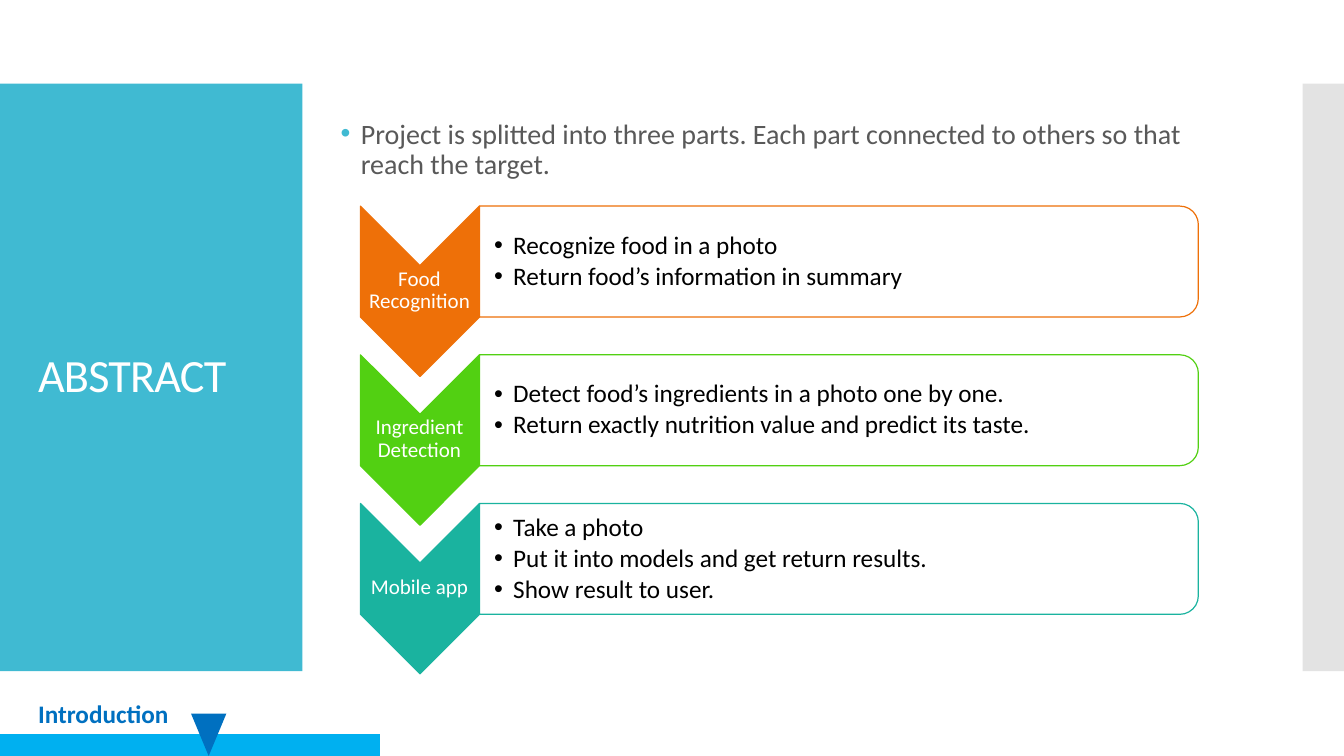
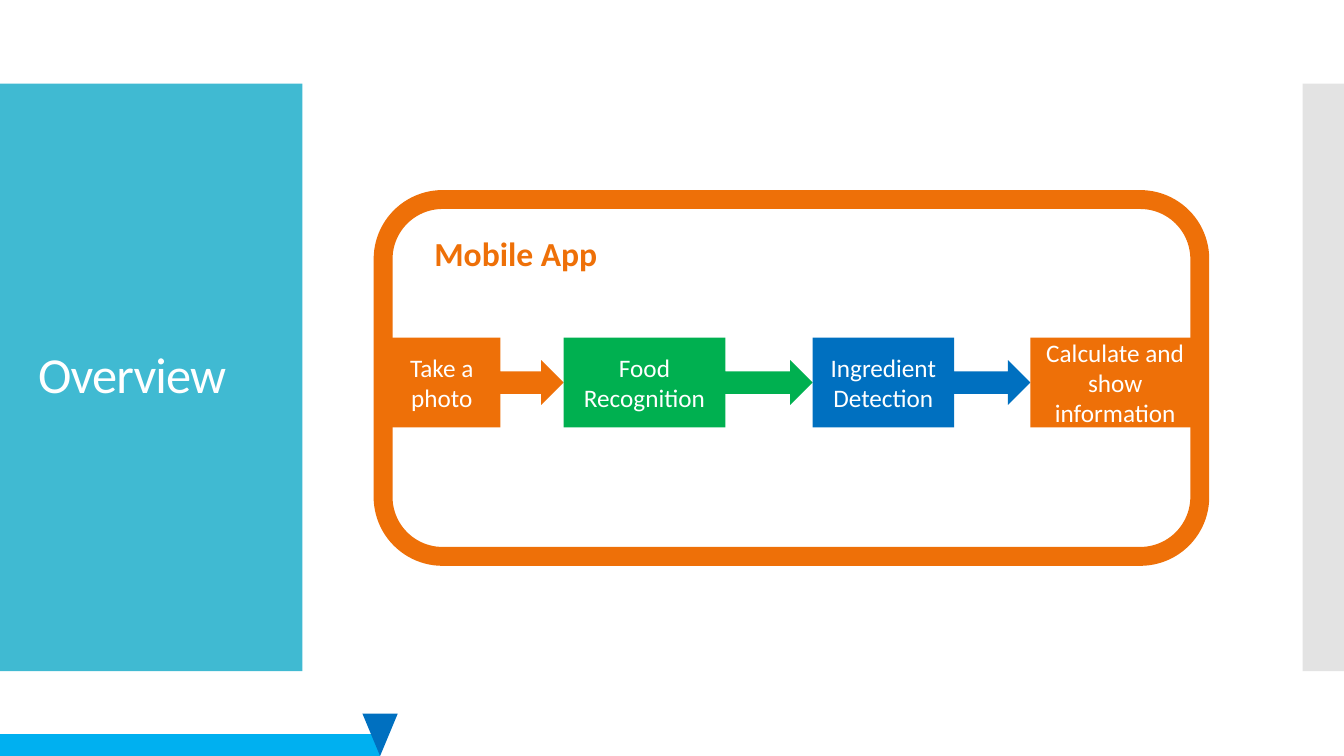
"""Build two slides on a food recognition project: abstract and overview."""
import pptx
import pptx.dml.color
import pptx.enum.shapes
import pptx.enum.text
import pptx.oxml
import pptx.oxml.ns
import pptx.util

Inches = pptx.util.Inches
Pt = pptx.util.Pt
RGBColor = pptx.dml.color.RGBColor
SHAPE = pptx.enum.shapes.MSO_SHAPE
ALIGN = pptx.enum.text.PP_ALIGN
MIDDLE = pptx.enum.text.MSO_ANCHOR.MIDDLE
TOP = pptx.enum.text.MSO_ANCHOR.TOP

FONT = "Calibri"
WHITE = RGBColor(0xFF, 0xFF, 0xFF)
BLACK = RGBColor(0x00, 0x00, 0x00)
GRAY_TEXT = RGBColor(0x59, 0x59, 0x59)
SIDE_GRAY = RGBColor(0xE3, 0xE3, 0xE3)
TEAL_BAND = RGBColor(0x40, 0xBA, 0xD2)
SKY = RGBColor(0x00, 0xB0, 0xF0)
BLUE = RGBColor(0x00, 0x70, 0xC0)
ORANGE = RGBColor(0xEE, 0x70, 0x08)
LIME = RGBColor(0x52, 0xD0, 0x12)
SEA = RGBColor(0x1A, 0xB3, 0x9F)
GREEN = RGBColor(0x00, 0xB0, 0x50)


def add_block(page, kind, left, top, width, height, fill=None, line=None, weight=0.85):
    """Add a preset shape; no fill or line unless a colour is given."""
    block = page.shapes.add_shape(kind, Inches(left), Inches(top), Inches(width), Inches(height))
    block.shadow.inherit = False
    for paint, color in ((block.fill, fill), (block.line.fill, line)):
        if color is None:
            paint.background()
        else:
            paint.solid()
            paint.fore_color.rgb = color
    if line is not None:
        block.line.width = Pt(weight)
    return block


def write(box, lines, size, color, align=ALIGN.LEFT, anchor=MIDDLE, wrap=True, bold=False,
          spacing=None, after=0, insets=None, bullet=None, indent=0.19, tracking=None):
    """Write one paragraph per line, with a bullet if its colour is given."""
    frame = box.text_frame
    frame.word_wrap = wrap
    frame.vertical_anchor = anchor
    if insets:
        frame.margin_left, frame.margin_top, frame.margin_right, frame.margin_bottom = map(Inches, insets)
    for index, line in enumerate(lines):
        para = frame.paragraphs[0] if index == 0 else frame.add_paragraph()
        para.alignment = align
        para.line_spacing = spacing
        para.space_after = Pt(after)
        if bullet is not None:
            properties = para._p.get_or_add_pPr()
            properties.set("marL", str(Inches(indent)))
            properties.set("indent", str(-Inches(indent)))
            namespace = pptx.oxml.ns.nsdecls("a")
            for markup in (f'<a:buClr {namespace}><a:srgbClr val="{bullet}"/></a:buClr>',
                           f'<a:buFont {namespace} typeface="Arial"/>',
                           f'<a:buChar {namespace} char="•"/>'):
                properties.append(pptx.oxml.parse_xml(markup))
        span = para.add_run()
        span.text = line
        span.font.name = FONT
        span.font.size = Pt(size)
        span.font.bold = bold
        span.font.color.rgb = color
        if tracking is not None:
            span._r.get_or_add_rPr().set("spc", str(tracking))


deck = pptx.Presentation()
deck.slide_width = Inches(13.33)
deck.slide_height = Inches(7.5)

BAR_SPLIT = 2.07
BAR_END = 3.77
MARKER_WIDTH = 0.35

pages = []
for title, title_size, progress in (("ABSTRACT", 33, BAR_SPLIT), ("Overview", 36, BAR_END)):
    page = deck.slides.add_slide(deck.slide_layouts[6])
    pages.append(page)
    add_block(page, SHAPE.RECTANGLE, 0, 0.83, 3, 5.83, TEAL_BAND)
    add_block(page, SHAPE.RECTANGLE, 12.92, 0.83, 0.41, 5.83, SIDE_GRAY)
    box = page.shapes.add_textbox(Inches(0.28), Inches(1.23), Inches(2.47), Inches(5.03))
    write(box, [title], title_size, WHITE, spacing=0.9, tracking=-60)
    for start, end in ((BAR_SPLIT, BAR_END), (0, BAR_SPLIT)):
        add_block(page, SHAPE.FLOWCHART_PROCESS, start, 7.28, end - start, 0.22, SKY)
    add_block(page, SHAPE.FLOWCHART_MERGE, progress - MARKER_WIDTH / 2, 7.08, MARKER_WIDTH, 0.42, BLUE)

abstract, overview = pages

box = abstract.shapes.add_textbox(Inches(3.28), Inches(0.94), Inches(8.95), Inches(1.1))
write(box, ["Project is splitted into three parts. Each part connected to others so that reach the target."],
      20, GRAY_TEXT, spacing=0.9, bullet=TEAL_BAND, indent=0.2)
box = abstract.shapes.add_textbox(Inches(0.28), Inches(6.88), Inches(1.56), Inches(0.4))
write(box, ["Introduction"], 18, BLUE, anchor=TOP, wrap=False, bold=True)

parts = (
    ("Food Recognition", ORANGE,
     ["Recognize food in a photo", "Return food’s information in summary"]),
    ("Ingredient Detection", LIME,
     ["Detect food’s ingredients in a photo one by one.",
      "Return exactly nutrition value and predict its taste."]),
    ("Mobile app", SEA,
     ["Take a photo", "Put it into models and get return results.", "Show result to user."]),
)
for index, (label, color, details) in enumerate(parts):
    shift = index * 1.475
    chevron = add_block(abstract, SHAPE.CHEVRON, 3.32, 2.3 + shift, 1.69, 1.18, color, color)
    panel = add_block(abstract, SHAPE.ROUND_2_SAME_RECTANGLE, 7.77, -0.97 + shift, 1.1, 7.13, WHITE, color)
    chevron.rotation = panel.rotation = 90
    box = abstract.shapes.add_textbox(Inches(3.57), Inches(2.63 + shift), Inches(1.18), Inches(0.51))
    write(box, [label], 15, WHITE, align=ALIGN.CENTER, spacing=0.9, insets=(0.01,) * 4)
    box = abstract.shapes.add_textbox(Inches(4.76), Inches(2.1 + shift), Inches(7.08), Inches(0.99))
    write(box, details, 18, BLACK, spacing=0.9, after=2.7, insets=(0.14, 0.01, 0.01, 0.01), bullet=BLACK)

steps = (
    ("Take a photo", SHAPE.RIGHT_ARROW_CALLOUT, 1.79, ORANGE),
    ("Food Recognition", SHAPE.RIGHT_ARROW_CALLOUT, 2.47, GREEN),
    ("Ingredient Detection", SHAPE.RIGHT_ARROW_CALLOUT, 2.16, BLUE),
    ("Calculate and show information", SHAPE.RECTANGLE, 1.68, ORANGE),
)
left = 3.8
for label, kind, width, color in steps:
    step = add_block(overview, kind, left, 3.35, width, 0.89, color)
    write(step, [label], 18, WHITE, align=ALIGN.CENTER)
    left += width

add_block(overview, SHAPE.ROUNDED_RECTANGLE, 3.8, 1.98, 8.1, 3.54, line=ORANGE, weight=13.5)
box = overview.shapes.add_textbox(Inches(4.21), Inches(2.26), Inches(1.84), Inches(0.5))
write(box, ["Mobile App"], 24, ORANGE, anchor=TOP, wrap=False, bold=True)

deck.save("out.pptx")
